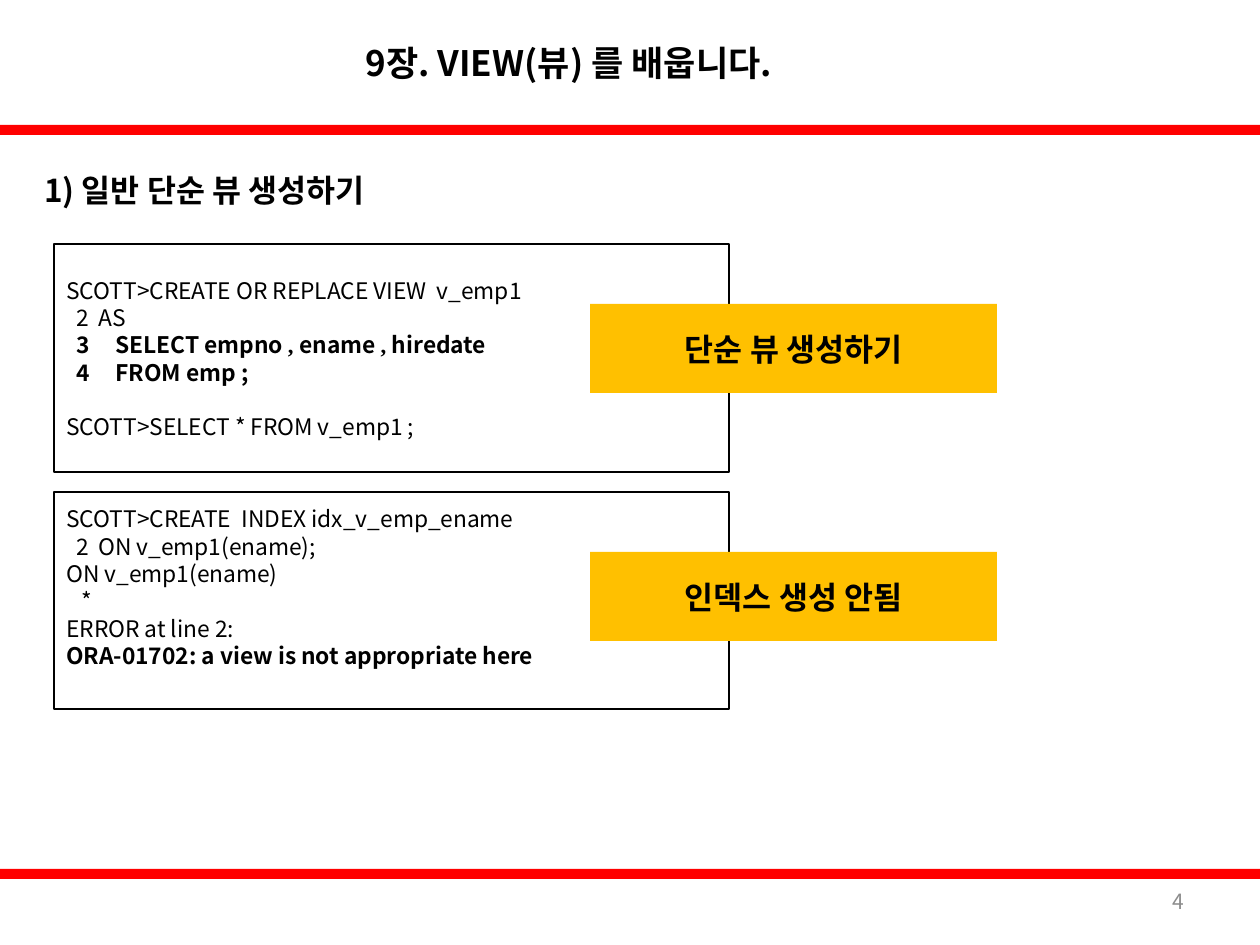
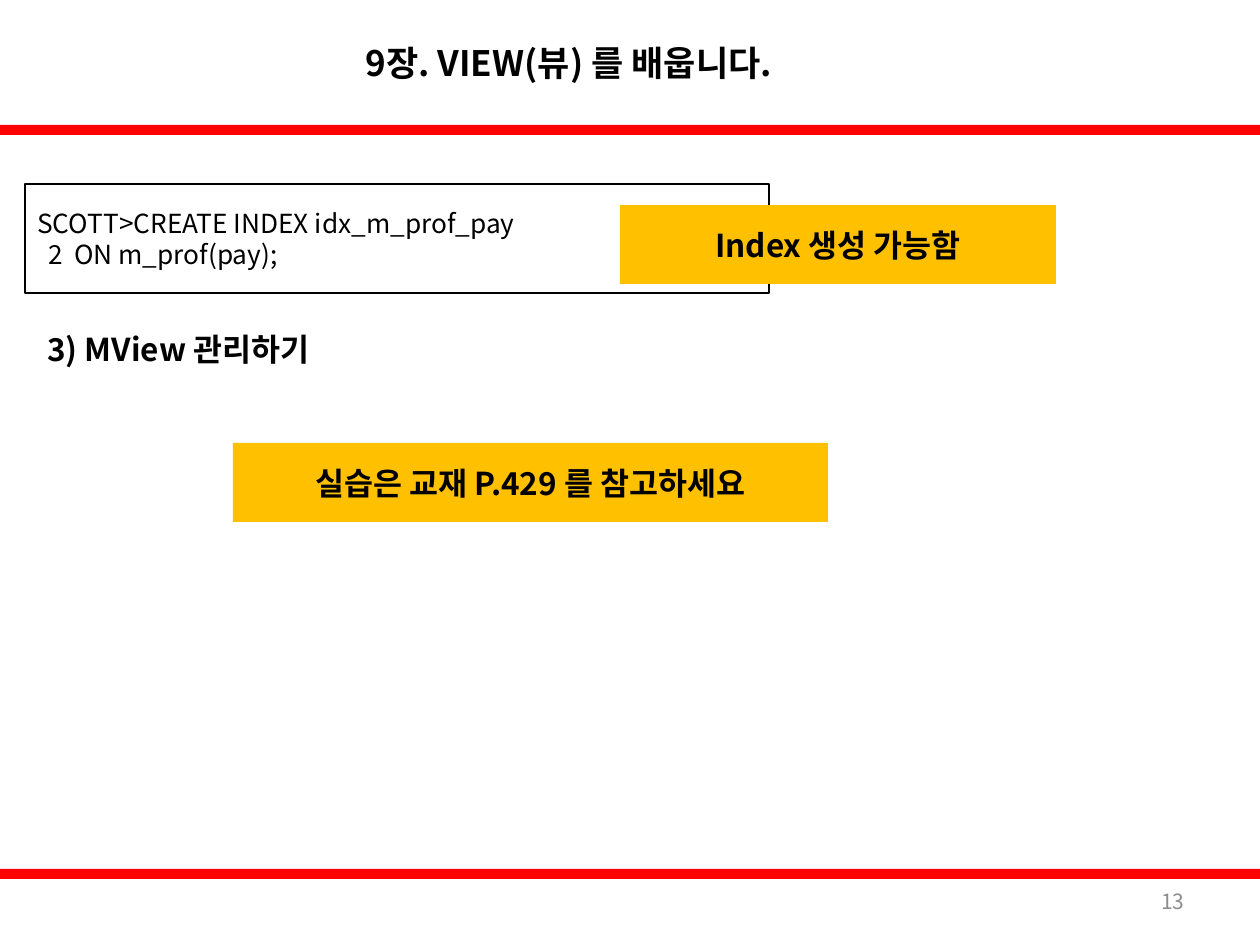
import dataclasses

import lxml.etree
import pptx
import pptx.dml.color
import pptx.enum.shapes
import pptx.enum.text
import pptx.oxml.ns
import pptx.util

ALIGN = pptx.enum.text.PP_ALIGN
COLORS = {"ink": "000000", "paper": "FFFFFF", "band": "FF0000", "callout": "FFC000", "number": "8C8C8C"}
SANS = "Noto Sans CJK KR"
SERIF = "Times New Roman"
TITLE = "9장. VIEW(뷰) 를 배웁니다."
PX = pptx.util.Inches(1) / 126
PAGE_WIDTH, PAGE_HEIGHT = 1260, 945


def px(length):
    return pptx.util.Emu(round(length * PX))


def rgb(name):
    return pptx.dml.color.RGBColor.from_string(COLORS[name])


@dataclasses.dataclass
class CodeLine:
    spans: tuple
    indent: int = 0
    hanging: int = 0
    bold: bool = False
    gap: int = 0


def plain(text, indent=0, bold=False, gap=0):
    return CodeLine((text,), indent, 0, bold, gap)


def numbered(number, *spans, start=10, code=32, bold=False):
    return CodeLine((f"{number}\t{spans[0]}", *spans[1:]), code, code - start, bold)


class Deck:
    def __init__(self):
        self.deck = pptx.Presentation()
        self.deck.slide_width = px(PAGE_WIDTH)
        self.deck.slide_height = px(PAGE_HEIGHT)
        self.page = None

    def add_page(self, number):
        self.page = self.deck.slides.add_slide(self.deck.slide_layouts[6])
        for top in (125, 869):
            self.rectangle(0, top, PAGE_WIDTH, 10, "band")
        self.label(TITLE, 353, 0, 576, 125, size=20)
        self.label(str(number), 903, 876, 294, 50, size=12, color="number", bold=False, align=ALIGN.RIGHT)

    def rectangle(self, left, top, width, height, fill, line=None):
        box = self.page.shapes.add_shape(
            pptx.enum.shapes.MSO_SHAPE.RECTANGLE, px(left), px(top), px(width), px(height))
        box.shadow.inherit = False
        box.fill.solid()
        box.fill.fore_color.rgb = rgb(fill)
        if line:
            box.line.color.rgb = rgb(line)
            box.line.width = pptx.util.Pt(0.75)
        else:
            box.line.fill.background()
        return box

    def style(self, span, size, bold=False, color="ink", font=SANS):
        span.font.name = font
        span.font.size = pptx.util.Pt(size)
        span.font.bold = bold
        span.font.color.rgb = rgb(color)
        east_asian = lxml.etree.SubElement(span.font._element, pptx.oxml.ns.qn("a:ea"))
        east_asian.set("typeface", font)

    def set_text(self, box, text, size, color="ink", bold=True, align=ALIGN.LEFT):
        frame = box.text_frame
        frame.text = text
        frame.word_wrap = True
        frame.vertical_anchor = pptx.enum.text.MSO_ANCHOR.MIDDLE
        para = frame.paragraphs[0]
        para.alignment = align
        self.style(para.runs[0], size, bold, color)

    def label(self, text, left, top, width, height, size=18, **look):
        box = self.page.shapes.add_textbox(px(left), px(top), px(width), px(height))
        self.set_text(box, text, size, **look)

    def callout(self, text, left, top, width, height):
        box = self.rectangle(left, top, width, height, "callout")
        self.set_text(box, text, 18, align=ALIGN.CENTER)

    def code(self, lines, left, top, width, height, size=13, space_below=0):
        box = self.rectangle(left, top, width, height, "paper", "ink")
        frame = box.text_frame
        frame.word_wrap = True
        frame.vertical_anchor = pptx.enum.text.MSO_ANCHOR.MIDDLE
        frame.margin_bottom = px(6 + space_below)
        for index, line in enumerate(lines):
            para = frame.paragraphs[0] if index == 0 else frame.add_paragraph()
            para.alignment = ALIGN.LEFT
            para.space_before = px(line.gap)
            properties = para._p.get_or_add_pPr()
            properties.set("marL", str(int(px(line.indent))))
            properties.set("indent", str(-int(px(line.hanging))))
            for text in line.spans:
                span = para.add_run()
                span.text = text
                self.style(span, size, line.bold, font=SERIF if text == ", " else SANS)

    def save(self):
        self.deck.save("out.pptx")


def simple_view_page(deck):
    deck.add_page(4)
    deck.label("1) 일반 단순 뷰 생성하기", 32, 155, 667, 69)
    create_view = [
        plain("SCOTT>CREATE OR REPLACE VIEW  v_emp1"),
        numbered(2, "AS"),
        numbered(3, "SELECT empno ", ", ", "ename ", ", ", "hiredate", code=49, bold=True),
        numbered(4, "FROM emp ;", code=49, bold=True),
        plain("SCOTT>SELECT * FROM v_emp1 ;", gap=27),
    ]
    create_index = [
        plain("SCOTT>CREATE  INDEX idx_v_emp_ename"),
        numbered(2, "ON v_emp1(ename);"),
        plain("ON v_emp1(ename)"),
        plain("*", indent=15),
        plain("ERROR at line 2:"),
        plain("ORA-01702: a view is not appropriate here", bold=True),
    ]
    examples = [
        (create_view, 244, 228, 0, "단순 뷰 생성하기"),
        (create_index, 492, 217, 27, "인덱스 생성 안됨"),
    ]
    for lines, top, height, space_below, caption in examples:
        deck.code(lines, 54, top, 675, height, space_below=space_below)
        deck.callout(caption, 590, top + 60, 407, 89)


def materialized_view_page(deck):
    deck.add_page(13)
    create_index = [
        plain("SCOTT>CREATE INDEX idx_m_prof_pay"),
        numbered(2, "ON m_prof(pay);", start=11, code=37),
    ]
    deck.code(create_index, 25, 184, 744, 109, size=15)
    deck.callout("Index 생성 가능함", 620, 205, 436, 79)
    deck.label("3) MView 관리하기", 35, 304, 417, 89)
    deck.callout("실습은 교재 P.429 를 참고하세요", 233, 443, 595, 79)


def main():
    deck = Deck()
    simple_view_page(deck)
    materialized_view_page(deck)
    deck.save()


if __name__ == "__main__":
    main()
